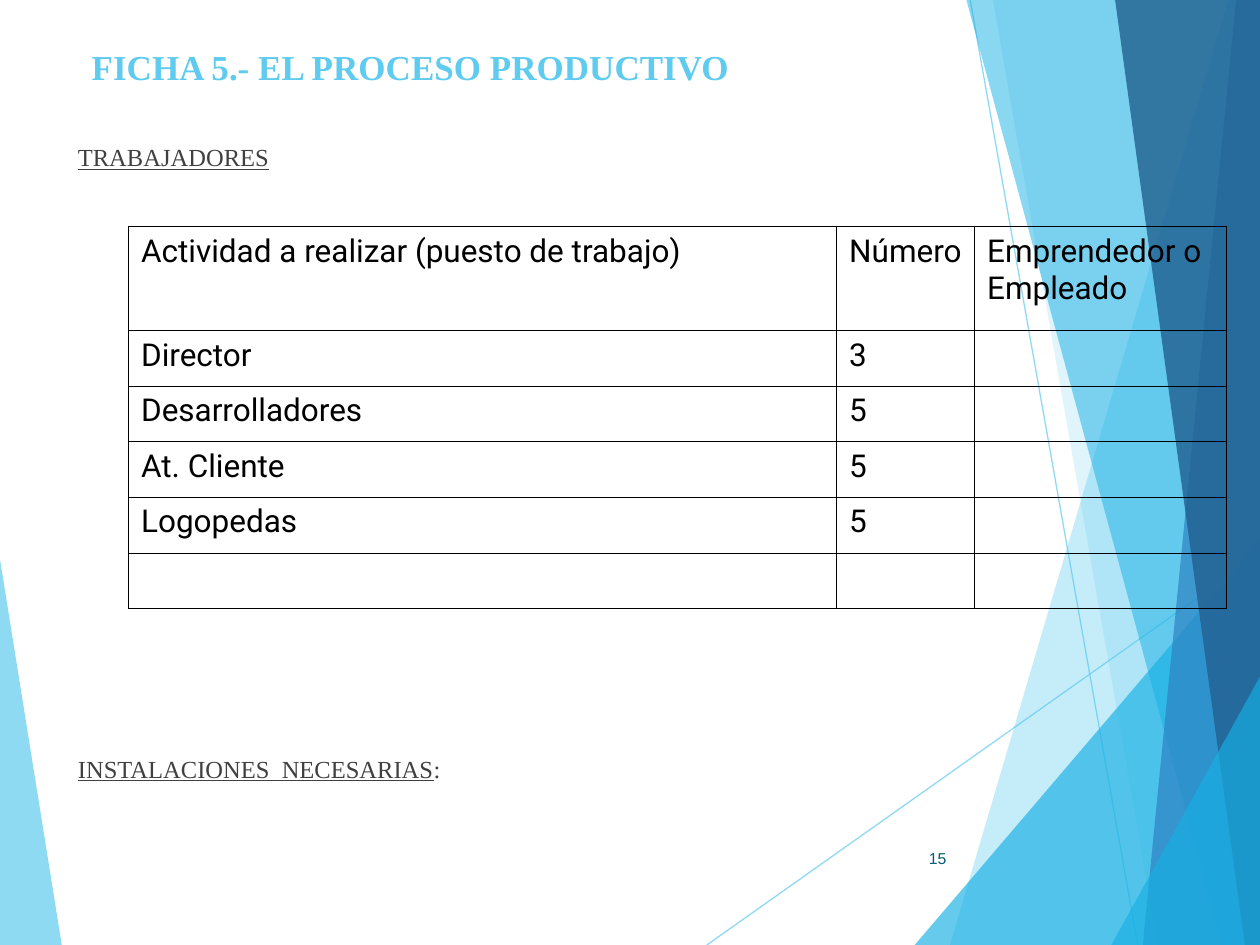
from dataclasses import dataclass

from lxml import etree
from pptx import Presentation
from pptx import util as u
from pptx.dml.color import RGBColor
from pptx.enum import shapes, text
from pptx.oxml.ns import qn


@dataclass(frozen=True)
class Theme:
    sky: str = "5FCBEF"
    cyan: str = "17B0E4"
    blue: str = "2E83C3"
    navy: str = "236292"
    ink: str = "404040"
    black: str = "000000"
    page_number: str = "045C75"
    serif: str = "Times New Roman"
    table_font: str = "Roboto"
    number_font: str = "Arial"
    title_size: int = 20
    heading_size: int = 14
    table_size: int = 18
    number_size: int = 9
    ray_width: float = 0.75
    border_width: float = 0.45


THEME = Theme()
WIDTH, HEIGHT = 10, 7.5

# Content
TITLE = "FICHA 5.- EL PROCESO PRODUCTIVO"
WORKERS = "TRABAJADORES"
FACILITIES = "INSTALACIONES  NECESARIAS"
PAGE = "15"
ROWS = [
    ("Actividad a realizar (puesto de trabajo)", "Número", "Emprendedor o Empleado"),
    ("Director", "3", ""),
    ("Desarrolladores", "5", ""),
    ("At. Cliente", "5", ""),
    ("Logopedas", "5", ""),
    ("", "", ""),
]

# Places as percent of the slide: left, top, width, height
TITLE_BOX = (6.3, 4.13, 90, 7.33)
BODY_BOX = (5.2, 14.4, 91.1, 79.2)
PAGE_BOX = (70.5, 88.13, 5.6, 5.33)
TABLE_BOX = (10.2, 24, 87.1, 40.4)
COLUMN_SHARES = (56.2, 10.95, 19.95)
HEADER_SHARE = 11
HEADING_GAP = 332.5  # points between the two headings

# Decoration as percent points, back to front
RAYS = [((56.1, 100), (100, 58.6)), ((77, 0), (90.3, 100))]
FACETS = [
    (THEME.sky, 70, [(0, 59.2), (4.9, 100), (0, 100)]),
    (THEME.sky, 36, [(97.5, 0), (75.4, 100), (100, 100), (100, 0)]),
    (THEME.sky, 20, [(78.8, 0), (91.9, 100), (100, 100), (100, 0)]),
    (THEME.cyan, 66, [(72.6, 100), (100, 57.2), (100, 100)]),
    (THEME.cyan, 50, [(76.7, 0), (97, 100), (100, 100), (100, 0)]),
    (THEME.blue, 70, [(98.1, 0), (90.7, 100), (100, 100), (100, 0)]),
    (THEME.navy, 82, [(88.5, 0), (98.8, 100), (100, 100), (100, 0)]),
    (THEME.cyan, 66, [(88.2, 100), (100, 71.6), (100, 100)]),
]


def across(share):
    return u.Inches(WIDTH * share / 100)


def down(share):
    return u.Inches(HEIGHT * share / 100)


def place(box):
    left, top, width, height = box
    return across(left), down(top), across(width), down(height)


def set_alpha(parent, percent):
    for colour in parent.iter(qn("a:srgbClr")):
        etree.SubElement(colour, qn("a:alpha"), val=str(percent * 1000))


def write(paragraph, words, *, font, size, colour, bold=False, underline=False,
          align=text.PP_ALIGN.LEFT):
    paragraph.alignment = align
    run = paragraph.add_run()
    run.text = words
    run.font.name, run.font.size = font, u.Pt(size)
    run.font.bold, run.font.underline = bold, underline
    run.font.color.rgb = RGBColor.from_string(colour)


def add_box(slide, box, anchor=text.MSO_ANCHOR.TOP):
    frame = slide.shapes.add_textbox(*place(box)).text_frame
    frame.word_wrap = True
    frame.vertical_anchor = anchor
    return frame


def add_facet(slide, colour, alpha, points):
    corners = [(across(x), down(y)) for x, y in points]
    builder = slide.shapes.build_freeform(*corners[0])
    builder.add_line_segments(corners[1:], close=True)
    shape = builder.convert_to_shape()
    shape.shadow.inherit = False
    shape.fill.solid()
    shape.fill.fore_color.rgb = RGBColor.from_string(colour)
    shape.line.fill.background()
    set_alpha(shape.fill._xPr, alpha)


def add_ray(slide, start, end):
    ray = slide.shapes.add_connector(
        shapes.MSO_CONNECTOR.STRAIGHT,
        across(start[0]), down(start[1]), across(end[0]), down(end[1]))
    ray.line.color.rgb = RGBColor.from_string(THEME.sky)
    ray.line.width = u.Pt(THEME.ray_width)
    properties = ray._element.spPr
    set_alpha(properties, 70)
    etree.SubElement(properties, qn("a:effectLst"))


def add_borders(cell):
    properties = cell._tc.get_or_add_tcPr()
    for position, side in enumerate(("lnL", "lnR", "lnT", "lnB")):
        line = etree.Element(qn(f"a:{side}"), w=str(u.Pt(THEME.border_width)))
        fill = etree.SubElement(line, qn("a:solidFill"))
        etree.SubElement(fill, qn("a:srgbClr"), val=THEME.black)
        properties.insert(position, line)


def add_staff_table(slide):
    table = slide.shapes.add_table(
        len(ROWS), len(COLUMN_SHARES), *place(TABLE_BOX)).table
    table.first_row = table.horz_banding = False
    for column, share in zip(table.columns, COLUMN_SHARES):
        column.width = across(share)
    row_share = (TABLE_BOX[3] - HEADER_SHARE) / (len(ROWS) - 1)
    for index, values in enumerate(ROWS):
        table.rows[index].height = down(row_share if index else HEADER_SHARE)
        for column, value in enumerate(values):
            cell = table.cell(index, column)
            cell.fill.background()
            add_borders(cell)
            if value:
                write(cell.text_frame.paragraphs[0], value, font=THEME.table_font,
                      size=THEME.table_size, colour=THEME.black)


def main():
    presentation = Presentation()
    presentation.slide_width = u.Inches(WIDTH)
    presentation.slide_height = u.Inches(HEIGHT)
    slide = presentation.slides.add_slide(presentation.slide_layouts[6])

    # Background decoration: left facet, rays, then right facets
    add_facet(slide, *FACETS[0])
    for ray in RAYS:
        add_ray(slide, *ray)
    for facet in FACETS[1:]:
        add_facet(slide, *facet)

    # Title
    write(add_box(slide, TITLE_BOX).paragraphs[0], TITLE, font=THEME.serif,
          size=THEME.title_size, colour=THEME.sky, bold=True)

    # Section headings, above and below the table
    heading = dict(font=THEME.serif, size=THEME.heading_size, colour=THEME.ink)
    body = add_box(slide, BODY_BOX)
    write(body.paragraphs[0], WORKERS, underline=True, **heading)
    facilities = body.add_paragraph()
    facilities.space_before = u.Pt(HEADING_GAP)
    write(facilities, FACILITIES, underline=True, **heading)
    write(facilities, ":", **heading)

    # Page number
    write(add_box(slide, PAGE_BOX, text.MSO_ANCHOR.MIDDLE).paragraphs[0], PAGE,
          font=THEME.number_font, size=THEME.number_size,
          colour=THEME.page_number, align=text.PP_ALIGN.RIGHT)

    add_staff_table(slide)
    presentation.save("out.pptx")


if __name__ == "__main__":
    main()
